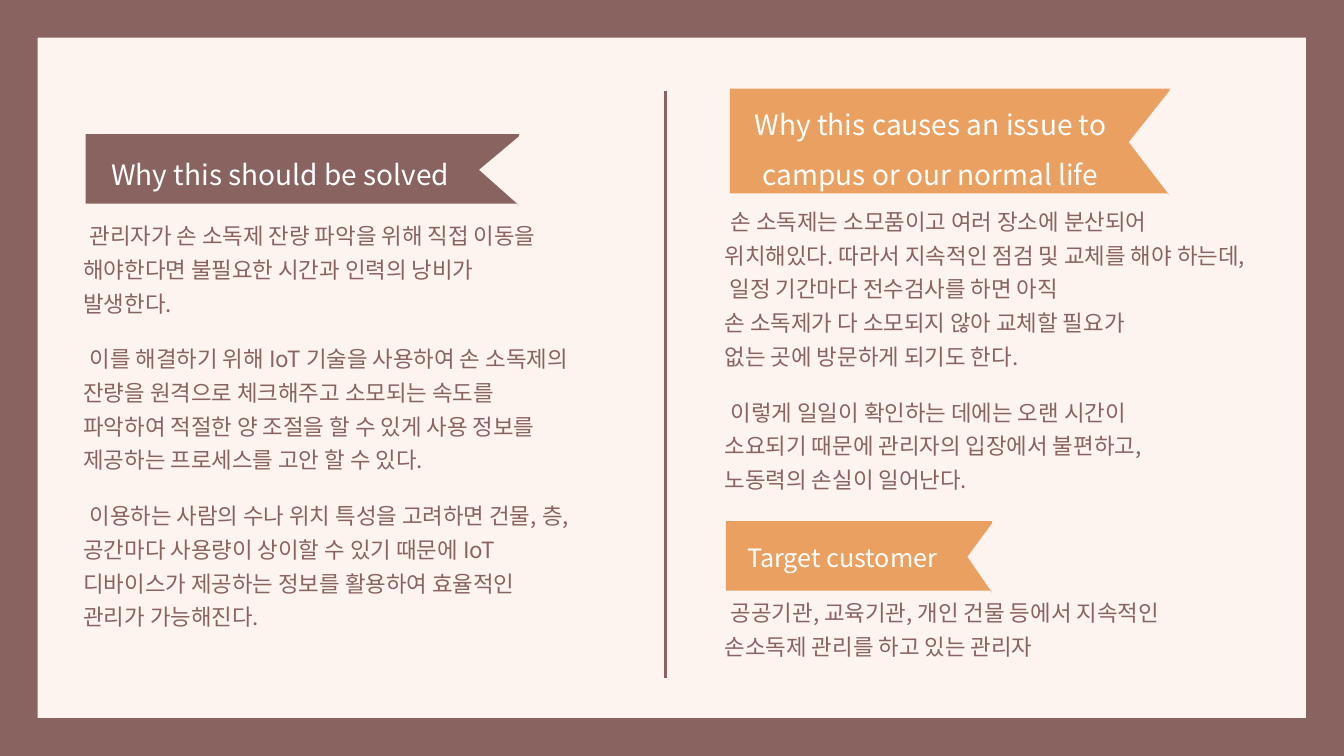
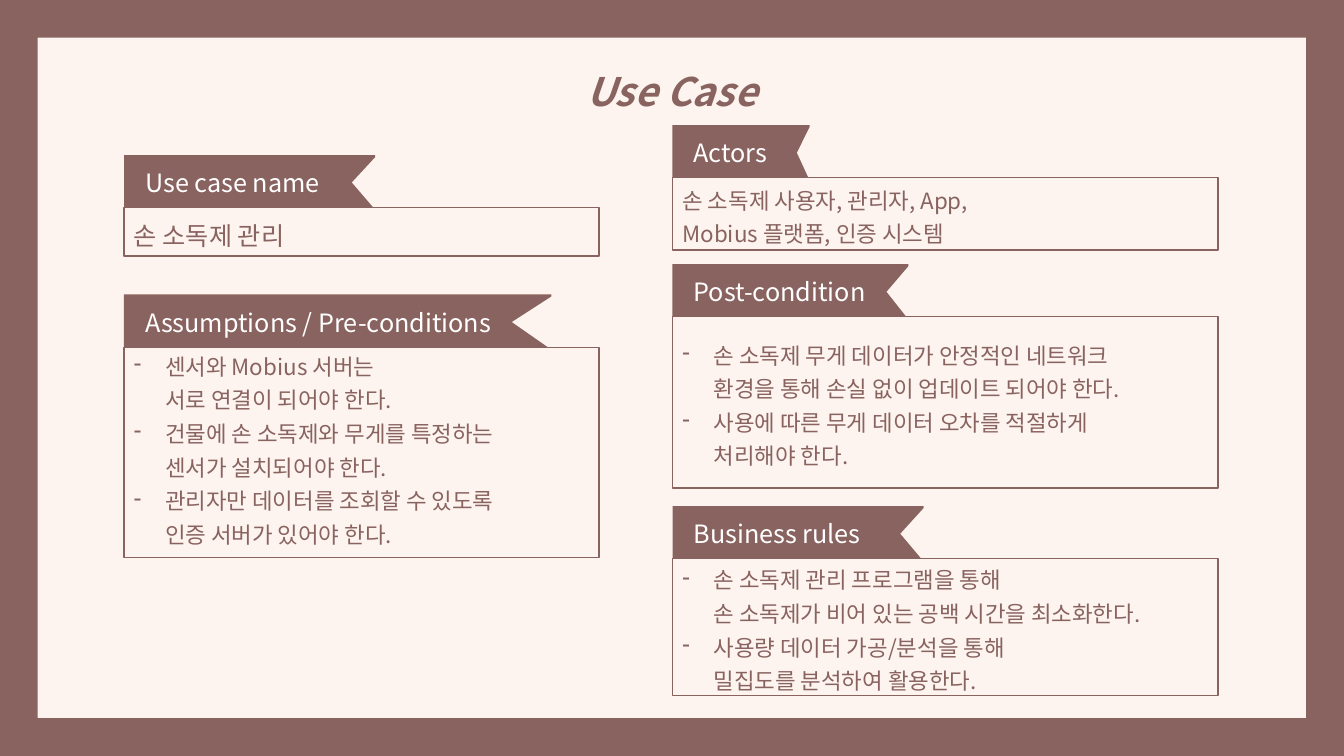
"""Build two slides on a hand sanitizer service: motivation and use case."""
from copy import deepcopy

from lxml import etree
from pptx import Presentation
from pptx import util as u
from pptx.dml.color import RGBColor
from pptx.enum import shapes, text
from pptx.oxml.ns import qn

BROWN, ORANGE, CREAM, WHITE = "896360", "E9A060", "FDF4EF", "FFFFFF"
FONT = "Noto Sans CJK KR"
TOP, MIDDLE = text.MSO_ANCHOR.TOP, text.MSO_ANCHOR.MIDDLE
LEFT, CENTER = text.PP_ALIGN.LEFT, text.PP_ALIGN.CENTER


def paint(fill, color):
    fill.solid()
    fill.fore_color.rgb = RGBColor.from_string(color)


def write(sp, paragraphs, size=16, color=BROWN, align=LEFT, anchor=TOP, pitch=None,
          gap=0, inset=0.1, bottom=0.05, margin=0, indent=0, bullet=None, strong=False):
    tf = sp.text_frame
    tf.word_wrap = True
    tf.vertical_anchor = anchor
    tf.margin_left, tf.margin_bottom = u.Inches(inset), u.Inches(bottom)
    for i, content in enumerate(paragraphs):
        p = tf.add_paragraph() if i else tf.paragraphs[0]
        pPr = p._p.get_or_add_pPr()
        pPr.set("marL", str(u.Inches(margin)))
        pPr.set("indent", str(u.Inches(indent)))
        if bullet:
            etree.SubElement(pPr, qn("a:buChar")).set("char", bullet)
        p.alignment = align
        if pitch:
            p.line_spacing = u.Pt(pitch)
        if i and gap:
            p.space_before = u.Pt(gap)
        for n, line in enumerate(content.split("\n")):
            if n:
                p.add_line_break()
            r = p.add_run()
            r.text = line
            r.font.size = u.Pt(size)
            r.font.bold = r.font.italic = strong
            r.font.name = FONT
            paint(r.font.fill, color)
            rPr = r._r.get_or_add_rPr()
            etree.SubElement(rPr, qn("a:ea")).set("typeface", FONT)
        for br in p._p.findall(qn("a:br")):
            br.insert(0, deepcopy(rPr))


prs = Presentation()
prs.slide_width, prs.slide_height = u.Inches(13.33), u.Inches(7.5)

for _ in range(2):
    s = prs.slides.add_slide(prs.slide_layouts[6])
    paint(s.background.fill, CREAM)
    frame = s.shapes.add_shape(shapes.MSO_SHAPE.FRAME, 0, 0, prs.slide_width, prs.slide_height)
    frame.adjustments[0] = 0.05
    frame.shadow.inherit = False
    paint(frame.fill, BROWN)
    frame.line.fill.background()
reasons, use_case = prs.slides

divider = reasons.shapes.add_connector(
    shapes.MSO_CONNECTOR.STRAIGHT, u.Inches(6.6), u.Inches(0.9), u.Inches(6.6), u.Inches(6.73))
paint(divider.line.fill, BROWN)
divider.line.width = u.Pt(1.75)
etree.SubElement(divider._element.spPr, qn("a:effectLst"))

ribbons = [
    (reasons, 0.85, 1.33, 4.3, 0.69, BROWN, None),
    (reasons, 7.24, 0.88, 4.36, 1.04, ORANGE, None),
    (reasons, 7.2, 5.17, 2.64, 0.69, ORANGE, "Target customer"),
    (use_case, 1.23, 1.54, 2.49, 0.52, BROWN, "Use case name"),
    (use_case, 1.23, 2.92, 4.24, 0.53, BROWN, "Assumptions / Pre-conditions"),
    (use_case, 6.67, 1.24, 1.36, 0.53, BROWN, "Actors"),
    (use_case, 6.67, 2.62, 2.34, 0.53, BROWN, "Post-condition"),
    (use_case, 6.67, 5.02, 2.49, 0.53, BROWN, "Business rules"),
]
for s, x, y, w, h, color, label in ribbons:
    right, notch, tip = x + w, 0.093 * w, 0.02
    outline = [(x, y), (right, y), (right, y + tip), (right - notch, y + h / 2 + tip / 2),
               (right, y + h + tip), (right - tip, y + h), (x, y + h)]
    points = [(u.Inches(px), u.Inches(py)) for px, py in outline]
    builder = s.shapes.build_freeform(*points[0])
    builder.add_line_segments(points[1:])
    sp = builder.convert_to_shape()
    sp.shadow.inherit = False
    paint(sp.fill, color)
    sp.line.fill.background()
    if label:
        write(sp, [label], size=18, color=WHITE, anchor=MIDDLE, inset=0.21)

heading = dict(size=20, color=WHITE, align=CENTER, pitch=36)
body = dict(pitch=24, gap=16, indent=0.06)
texts = [
    (reasons, 0.75, 1.35, 4.06, 0.6, ["Why this should be solved"], heading),
    (reasons, 7.2, 0.85, 4.06, 1.1, ["Why this causes an issue to campus or our normal life"], heading),
    (reasons, 0.73, 2.09, 5.3, 4.29, [
        "관리자가 손 소독제 잔량 파악을 위해 직접 이동을 해야한다면 불필요한 시간과 인력의 낭비가\n발생한다.",
        "이를 해결하기 위해 IoT 기술을 사용하여 손 소독제의 잔량을 원격으로 체크해주고 소모되는 속도를\n"
        "파악하여 적절한 양 조절을 할 수 있게 사용 정보를 제공하는 프로세스를 고안 할 수 있다.",
        "이용하는 사람의 수나 위치 특성을 고려하면 건물, 층, 공간마다 사용량이 상이할 수 있기 때문에 "
        "IoT 디바이스가 제공하는 정보를 활용하여 효율적인\n관리가 가능해진다.",
    ], body),
    (reasons, 7.09, 1.95, 5.3, 3.05, [
        "손 소독제는 소모품이고 여러 장소에 분산되어\n"
        "위치해있다. 따라서 지속적인 점검 및 교체를 해야 하는데, 일정 기간마다 전수검사를 하면 아직\n"
        "손 소독제가 다 소모되지 않아 교체할 필요가\n없는 곳에 방문하게 되기도 한다.",
        "이렇게 일일이 확인하는 데에는 오랜 시간이\n소요되기 때문에 관리자의 입장에서 불편하고,\n"
        "노동력의 손실이 일어난다.",
    ], body),
    (reasons, 7.09, 5.83, 5.3, 0.8, [
        "공공기관, 교육기관, 개인 건물 등에서 지속적인\n손소독제 관리를 하고 있는 관리자",
    ], body),
    (use_case, 3.74, 0.39, 5.84, 0.8, ["Use Case"],
     dict(size=28, align=CENTER, pitch=50, strong=True)),
]
for s, x, y, w, h, paragraphs, fmt in texts:
    sp = s.shapes.add_textbox(u.Inches(x), u.Inches(y), u.Inches(w), u.Inches(h))
    write(sp, paragraphs, **fmt)

dashes = dict(pitch=24, margin=0.31, indent=-0.31, bullet="-")
panels = [
    (1.23, 2.06, 4.71, 0.48, ["손 소독제 관리"], dict(size=18, pitch=27)),
    (1.23, 3.45, 4.71, 2.08, [
        "센서와 Mobius 서버는\n서로 연결이 되어야 한다.",
        "건물에 손 소독제와 무게를 특정하는\n센서가 설치되어야 한다.",
        "관리자만 데이터를 조회할 수 있도록\n인증 서버가 있어야 한다.",
    ], dict(dashes, bottom=0.16)),
    (6.67, 1.76, 5.41, 0.72, [
        "손 소독제 사용자, 관리자, App,",
        "Mobius 플랫폼, 인증 시스템",
    ], dict(pitch=24)),
    (6.67, 3.14, 5.41, 1.7, [
        "손 소독제 무게 데이터가 안정적인 네트워크\n환경을 통해 손실 없이 업데이트 되어야 한다.",
        "사용에 따른 무게 데이터 오차를 적절하게\n처리해야 한다.",
    ], dashes),
    (6.67, 5.54, 5.41, 1.36, [
        "손 소독제 관리 프로그램을 통해\n손 소독제가 비어 있는 공백 시간을 최소화한다.",
        "사용량 데이터 가공/분석을 통해\n밀집도를 분석하여 활용한다.",
    ], dashes),
]
for x, y, w, h, paragraphs, fmt in panels:
    sp = use_case.shapes.add_shape(
        shapes.MSO_SHAPE.RECTANGLE, u.Inches(x), u.Inches(y), u.Inches(w), u.Inches(h))
    sp.shadow.inherit = False
    paint(sp.fill, CREAM)
    paint(sp.line.fill, BROWN)
    sp.line.width = u.Pt(1)
    write(sp, paragraphs, anchor=MIDDLE, **fmt)

prs.save("out.pptx")
